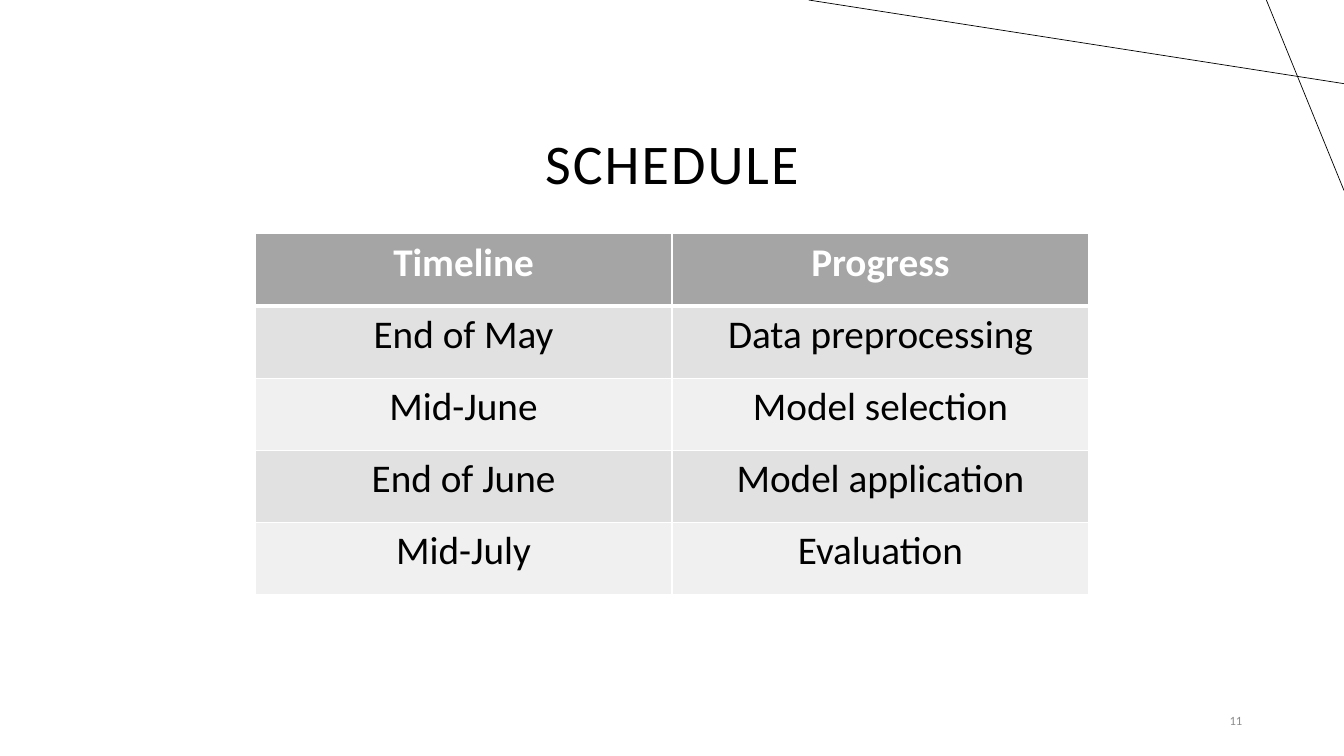
from lxml import etree
from pptx import Presentation
from pptx.dml.color import RGBColor
from pptx.enum.shapes import MSO_CONNECTOR
from pptx.enum.text import MSO_ANCHOR, PP_ALIGN
from pptx.oxml.ns import qn
from pptx.util import Inches, Pt

STRAIGHT = MSO_CONNECTOR.STRAIGHT
MIDDLE = MSO_ANCHOR.MIDDLE
CENTER, RIGHT = PP_ALIGN.CENTER, PP_ALIGN.RIGHT
TITLE_ONLY = 5
FONT = "Calibri"
BLACK, WHITE, GRAY = "000000", "FFFFFF", "8C8C8C"
HEADER_FILL = "A5A5A5"
BAND_FILLS = ("F0F0F0", "E1E1E1")
ACCENT_LINES = [((13.33, 0.83), (8.02, 0)), ((12.56, 0), (13.33, 1.89))]
SCHEDULE = [
    ("Timeline", "Progress"),
    ("End of May", "Data preprocessing"),
    ("Mid-June", "Model selection"),
    ("End of June", "Model application"),
    ("Mid-July", "Evaluation"),
]


def rgb(value):
    """Return the colour for a hex string."""
    return RGBColor.from_string(value)


def write(frame, text, size, color, align, bold=False):
    """Fill a text frame with one formatted paragraph and return it."""
    frame.text = text
    paragraph = frame.paragraphs[0]
    paragraph.alignment = align
    font = paragraph.runs[0].font
    font.name, font.size, font.bold = FONT, Pt(size), bold
    font.color.rgb = rgb(color)
    return paragraph


def add_accent_line(slide, start, end):
    """Draw a thin black line between two points."""
    points = [Inches(value) for value in start + end]
    accent = slide.shapes.add_connector(STRAIGHT, *points)
    accent.line.color.rgb = rgb(BLACK)
    accent.line.width = Pt(0.5)
    etree.SubElement(accent._element.spPr, qn("a:effectLst"))


def set_title(slide, text):
    """Place and format the slide title."""
    title = slide.shapes.title
    title.left, title.top = Inches(2.06), Inches(0.93)
    title.width, title.height = Inches(9.21), Inches(1.45)
    title.text_frame.vertical_anchor = MIDDLE
    heading = write(title.text_frame, text, 40, BLACK, CENTER)
    heading.line_spacing = 0.9
    heading.runs[0]._r.get_or_add_rPr().set("spc", "150")


def add_page_number(slide, number):
    """Add the page number at the bottom right."""
    page = slide.shapes.add_textbox(Inches(9.42), Inches(6.95), Inches(3), Inches(0.4))
    page.text_frame.word_wrap = True
    page.text_frame.vertical_anchor = MIDDLE
    write(page.text_frame, number, 9, GRAY, RIGHT)


def set_borders(cell, top, bottom):
    """Give a cell white borders with the given top and bottom widths."""
    properties = cell._tc.get_or_add_tcPr()
    widths = {"a:lnL": 1, "a:lnR": 1, "a:lnT": top, "a:lnB": bottom}
    for position, (tag, width) in enumerate(widths.items()):
        border = etree.Element(qn(tag), w=str(Pt(width)))
        fill = etree.SubElement(border, qn("a:solidFill"))
        etree.SubElement(fill, qn("a:srgbClr"), val=WHITE)
        properties.insert(position, border)


def add_schedule(slide, rows):
    """Add the schedule table with a header and banded rows."""
    table = slide.shapes.add_table(
        len(rows), len(rows[0]), Inches(2.53), Inches(2.32), Inches(8.27), Inches(3.58)
    ).table
    for row_index, row in enumerate(rows):
        header = row_index == 0
        fill = HEADER_FILL if header else BAND_FILLS[row_index % 2]
        for column_index, text in enumerate(row):
            cell = table.cell(row_index, column_index)
            cell.fill.solid()
            cell.fill.fore_color.rgb = rgb(fill)
            write(cell.text_frame, text, 28, WHITE if header else BLACK, CENTER, header)
            set_borders(cell, 3 if row_index == 1 else 1, 3 if header else 1)


def main():
    """Build the schedule slide and save it."""
    deck = Presentation()
    deck.slide_width, deck.slide_height = Inches(13.33), Inches(7.5)
    slide = deck.slides.add_slide(deck.slide_layouts[TITLE_ONLY])
    for start, end in ACCENT_LINES:
        add_accent_line(slide, start, end)
    set_title(slide, "SCHEDULE")
    add_page_number(slide, "11")
    add_schedule(slide, SCHEDULE)
    deck.save("out.pptx")


if __name__ == "__main__":
    main()
